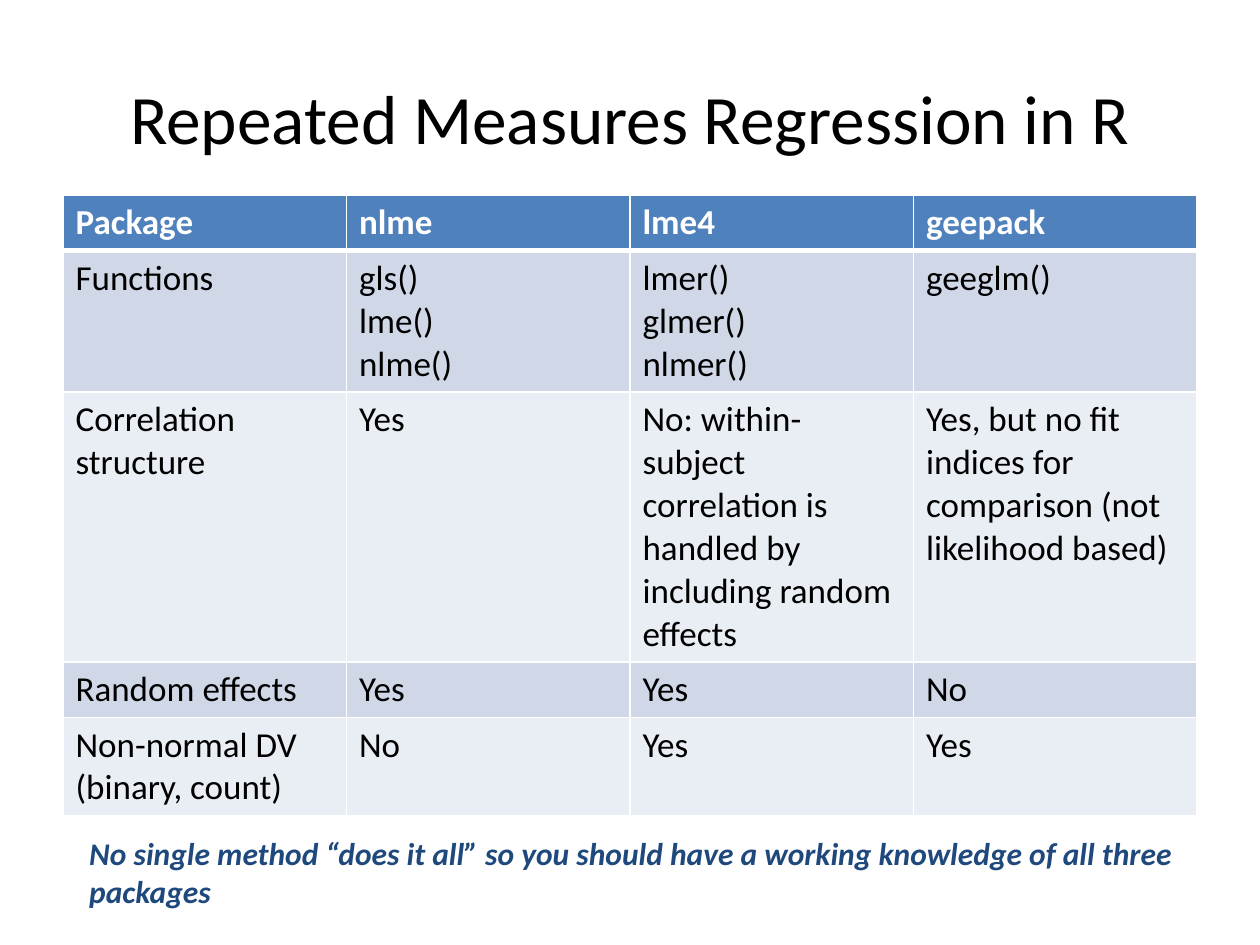
from dataclasses import dataclass

from lxml.etree import SubElement
from pptx import Presentation
from pptx.dml.color import RGBColor as RGB
from pptx.enum.text import MSO_ANCHOR as Anchor, MSO_AUTO_SIZE as AutoSize, PP_ALIGN as Align
from pptx.oxml.ns import qn
from pptx.util import Inches, Pt


@dataclass(frozen=True)
class Theme:
    """Colours, font and type sizes of the slide."""
    font: str = "Calibri"
    black: str = "000000"
    white: str = "FFFFFF"
    header: str = "4F81BD"
    bands: tuple = ("D0D8E8", "E9EDF4")
    note: str = "1F497D"
    title_size: float = 39.6
    cell_size: float = 20
    note_size: float = 18


THEME = Theme()
TITLE = "Repeated Measures Regression in R"
NOTE = "No single method “does it all” so you should have a working knowledge of all three packages"
PACKAGES = [
    ["Package", "nlme", "lme4", "geepack"],
    ["Functions", "gls()\nlme()\nnlme()", "lmer()\nglmer()\nnlmer()", "geeglm()"],
    ["Correlation structure", "Yes",
     "No: within-subject correlation is handled by including random effects",
     "Yes, but no fit indices for comparison (not likelihood based)"],
    ["Random effects", "Yes", "Yes", "No"],
    ["Non-normal DV (binary, count)", "No", "Yes", "Yes"],
]


def write(tf, text, color, align=Align.LEFT, **formats):
    """Fill a text frame, one paragraph per line, with one font format."""
    tf.text = text
    for p in tf.paragraphs:
        p.alignment = align
        for r in p.runs:
            r.font.color.rgb = RGB.from_string(color)
            for name, value in {"name": THEME.font, **formats}.items():
                setattr(r.font, name, value)


def add_title(s, text):
    """Place the title placeholder."""
    sp = s.shapes.title
    sp.left, sp.top, sp.width, sp.height = map(Inches, (0.5, 0.3, 9, 1.25))
    sp.text_frame.vertical_anchor = Anchor.MIDDLE
    write(sp.text_frame, text, THEME.black, Align.CENTER, size=Pt(THEME.title_size))


def set_borders(cell, **widths):
    """Draw solid white cell borders, with widths in points by side."""
    tc_pr = cell._tc.get_or_add_tcPr()
    for side in "LRTB":
        ln = SubElement(tc_pr, qn(f"a:ln{side}"), w=str(Pt(widths.get(side, 1))))
        SubElement(SubElement(ln, qn("a:solidFill")), qn("a:srgbClr"), val=THEME.white)


def add_package_table(s, rows):
    """Add the banded table comparing the packages."""
    frame = s.shapes.add_table(len(rows), len(rows[0]), Inches(0.5), Inches(1.55),
                               Inches(9), Inches(0.41 * len(rows)))
    for i, row in enumerate(rows):
        is_header = i == 0
        fill = THEME.header if is_header else THEME.bands[(i - 1) % 2]
        color = THEME.white if is_header else THEME.black
        widths = {0: {"B": 3}, 1: {"T": 3}}.get(i, {})
        for j, text in enumerate(row):
            cell = frame.table.cell(i, j)
            set_borders(cell, **widths)
            cell.fill.solid()
            cell.fill.fore_color.rgb = RGB.from_string(fill)
            write(cell.text_frame, text, color, size=Pt(THEME.cell_size), bold=is_header)


def add_note(s, text):
    """Add the closing remark under the table."""
    tf = s.shapes.add_textbox(*map(Inches, (0.61, 6.57, 8.89, 0.71))).text_frame
    tf.word_wrap = True
    tf.auto_size = AutoSize.SHAPE_TO_FIT_TEXT
    write(tf, text, THEME.note, size=Pt(THEME.note_size), bold=True, italic=True)


def main():
    """Build and save the slide."""
    prs = Presentation()
    prs.slide_width, prs.slide_height = Inches(10), Inches(7.5)
    s = prs.slides.add_slide(prs.slide_layouts[5])
    add_title(s, TITLE)
    add_package_table(s, PACKAGES)
    add_note(s, NOTE)
    prs.save("out.pptx")


if __name__ == "__main__":
    main()
